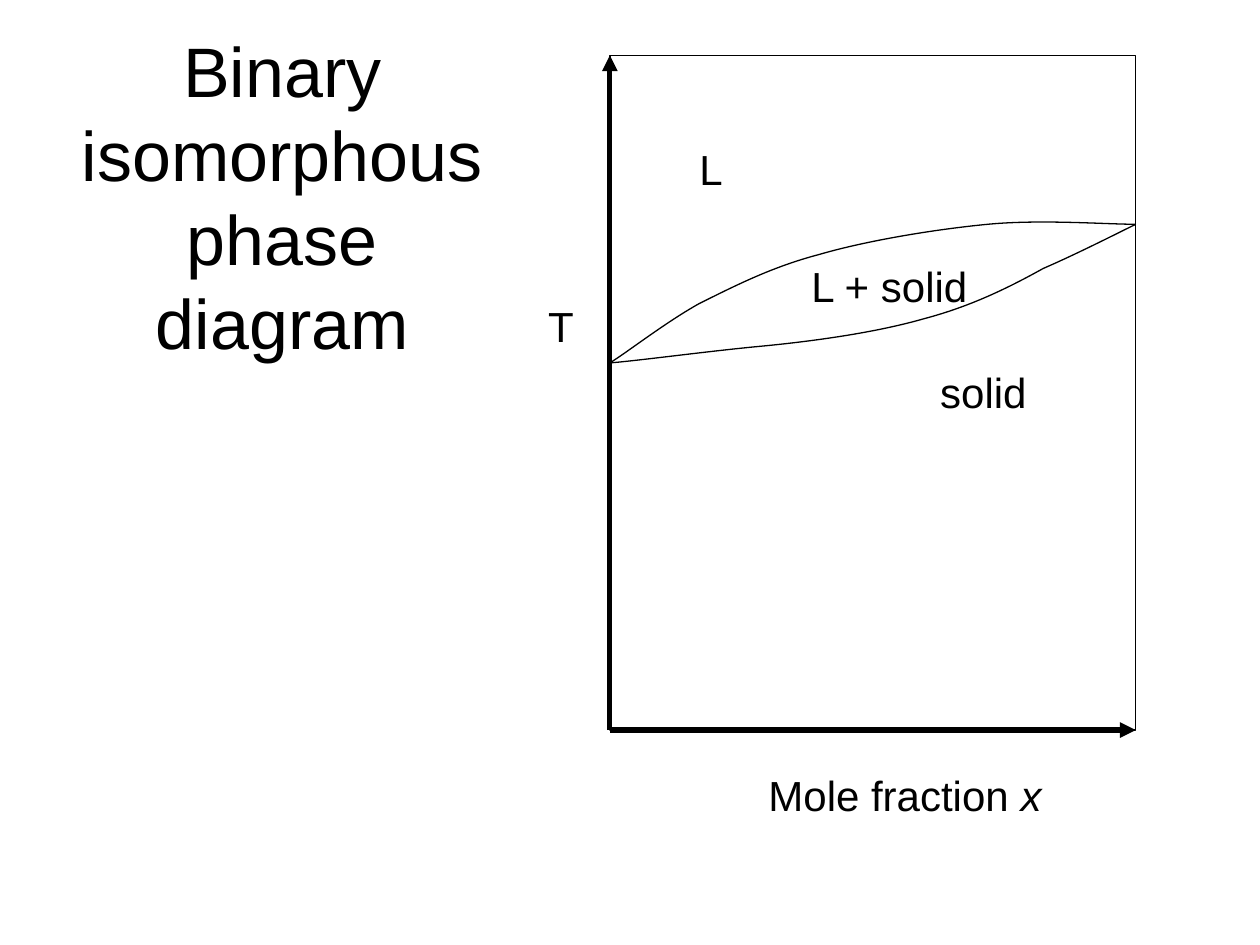
from pptx import Presentation
from pptx.dml.color import RGBColor
from pptx.enum.shapes import MSO_CONNECTOR as Connector, MSO_SHAPE as Shape
from pptx.enum.text import MSO_ANCHOR as Anchor, MSO_AUTO_SIZE as AutoSize, PP_ALIGN as Align
from pptx.oxml.ns import qn
from pptx.util import Pt
from lxml.etree import SubElement

BLACK = "000000"
LIQUIDUS = [(0, 175.7), (8.6, 170.6), (31.7, 152.6), (51.1, 141.8),
            (71.3, 131.8), (92.2, 121), (119.5, 113.8),
            (146.9, 105.8), (185.8, 99.4), (216, 96.5),
            (246.2, 93.6), (283, 96.5), (300.5, 96.5)]
SOLIDUS = [(300.5, 96.5), (291.6, 100.8), (267.8, 113), (247.7, 121.7),
           (228.2, 132.5), (206.6, 143.3), (179.3, 150.5),
           (151.9, 158.4), (115.9, 163.4), (85, 166.3),
           (54.7, 169.2), (18, 174.2), (0, 175.7)]
LABELS = [(["Mole fraction ", "x"], 83.5, 404.2, 173),
          (["T"], -42.3, 136.3, 30),
          (["L"], 44, 47, 28),
          (["L + solid"], 108, 113.8, 106),
          (["solid"], 181.7, 174.2, 66)]


def color(hex_value):
    """Turn a hex string into a colour."""
    return RGBColor.from_string(hex_value)


def style_font(font, size):
    """Apply the slide's typeface at the given size."""
    font.name = "Arial"
    font.size = Pt(size)
    font.color.rgb = color(BLACK)


def style_outline(outline, width):
    """Draw an unfilled, unshadowed black outline."""
    outline.fill.background()
    outline.shadow.inherit = False
    outline.line.color.rgb = color(BLACK)
    outline.line.width = Pt(width)


def add_title(slide, left, top, width, height):
    """Place the centred title."""
    title = slide.shapes.add_textbox(Pt(left), Pt(top), Pt(width), Pt(height))
    frame = title.text_frame
    frame.word_wrap = True
    frame.vertical_anchor = Anchor.MIDDLE
    frame.text = "Binary isomorphous\vphase diagram"
    heading = frame.paragraphs[0]
    heading.alignment = Align.CENTER
    heading.line_spacing = Pt(48)
    for run in heading.runs:
        style_font(run.font, 40)


def add_axis(slide, start, end):
    """Draw a thick axis with an arrowhead at its end."""
    axis = slide.shapes.add_connector(
        Connector.STRAIGHT, *(Pt(value) for value in start + end))
    axis.line.color.rgb = color(BLACK)
    axis.line.width = Pt(3)
    SubElement(axis.line._get_or_add_ln(), qn("a:tailEnd"), type="triangle")
    SubElement(axis._element.spPr, qn("a:effectLst"))


def add_boundary(slide, left, top, points):
    """Draw a phase boundary as Bézier segments of three points each."""
    knots = [(Pt(left + x), Pt(top + y)) for x, y in points]
    builder = slide.shapes.build_freeform(*knots[0])
    builder.add_line_segments(knots[1:], close=False)
    boundary = builder.convert_to_shape()
    style_outline(boundary, 0.75)
    steps = list(boundary._element.iter(qn("a:lnTo")))
    outline = steps[0].getparent()
    for first in range(0, len(steps), 3):
        segment = SubElement(outline, qn("a:cubicBezTo"))
        for step in steps[first:first + 3]:
            segment.append(step[0])
            outline.remove(step)


def add_label(slide, words, left, top, width):
    """Place a label, with any second part in italics."""
    label = slide.shapes.add_textbox(Pt(left), Pt(top), Pt(width), Pt(36))
    frame = label.text_frame
    frame.word_wrap = False
    frame.auto_size = AutoSize.SHAPE_TO_FIT_TEXT
    for index, word in enumerate(words):
        run = frame.paragraphs[0].add_run()
        run.text = word
        style_font(run.font, 24)
        if index:
            run.font.italic = True


def add_phase_diagram(slide, left, top, width, height):
    """Draw the axes, boundaries, frame and labels of the diagram."""
    origin = (left, top + height)
    add_axis(slide, origin, (left + width, top + height))
    add_axis(slide, origin, (left, top))
    for points in (LIQUIDUS, SOLIDUS):
        add_boundary(slide, left, top, points)
    frame = slide.shapes.add_shape(
        Shape.RECTANGLE, Pt(left), Pt(top), Pt(width), Pt(height))
    style_outline(frame, 0.75)
    for words, x, y, label_width in LABELS:
        add_label(slide, words, left + x, top + y, label_width)


def main():
    """Build and save the slide."""
    deck = Presentation()
    deck.slide_width, deck.slide_height = Pt(720), Pt(540)
    slide = deck.slides.add_slide(deck.slide_layouts[6])
    add_title(slide, 36, 21.6, 250.5, 180.7)
    add_phase_diagram(slide, 348.5, 31.7, 300.5, 385.5)
    deck.save("out.pptx")


if __name__ == "__main__":
    main()
